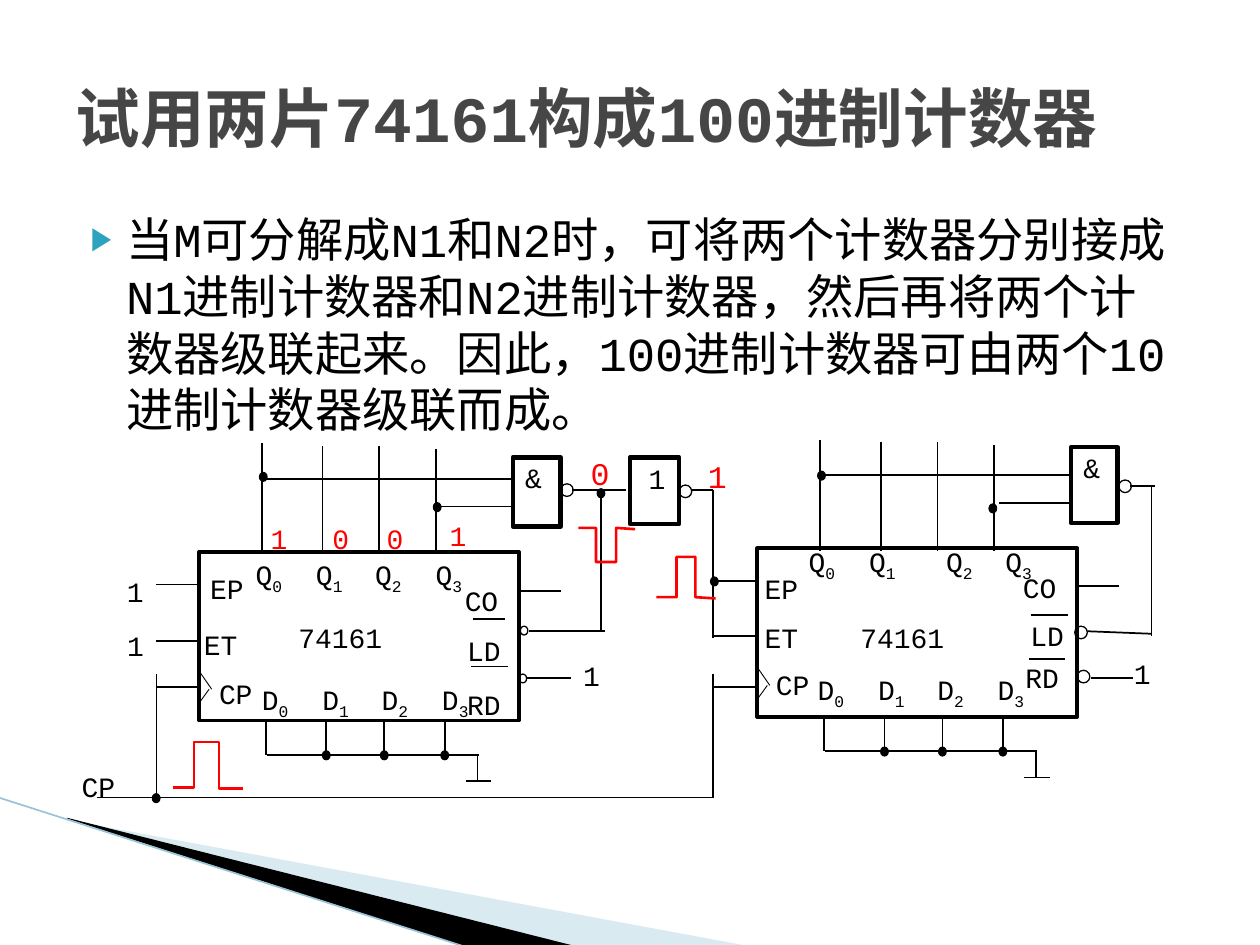
from lxml.etree import SubElement
from pptx import Presentation
from pptx.dml.color import RGBColor
from pptx.enum.shapes import MSO_CONNECTOR, MSO_SHAPE
from pptx.enum.text import MSO_ANCHOR, MSO_AUTO_SIZE, PP_ALIGN
from pptx.oxml.ns import qn
from pptx.util import Pt

PX = 9144  # EMU; 100 px to the inch
FONT = "Courier New"
BLACK, RED = "000000", "FF0000"
PINS_X = {"Q": (50, 98, 143, 188), "D": (53, 101, 147, 195)}

LEFT_COUNTER = {
    "labels": [("74161", 69, 45, 93, 45), ("EP", -1, 6, 62, 46), ("ET", -6, 50, 66, 47),
               ("CP", 6, 88, 63, 48), ("CO", 201, 11, 65, 55), ("LD", 203, 51, 84, 54),
               ("RD", 203, 91, 71, 60)],
    "pin_rows": [("Q", (35, -4, 194, 48), (48, 95, 143)), ("D", (40, 93, 214, 51), (48, 95, 143))],
    "bars": [(217, 53, 243, 53), (216, 91, 245, 91)],
    "bubbles": [(255, 59, 6, 7), (254, 97, 6, 7)],
    "input_ys": (26, 71, 107),
    "output_wires": [(254, 31, 287, 31), (262, 63, 322, 63), (260, 100, 295, 100)],
    "gate": (249, -75, 38, 55),
    "gate_dots": [(48, -63), (186, -39)],
}
RIGHT_COUNTER = {
    "labels": [("74161", 72, 48, 93, 45), ("EP", -4, 9, 62, 46), ("ET", -4, 47, 66, 47),
               ("CP", 5, 83, 56, 50), ("CO", 201, 8, 65, 47), ("LD", 207, 46, 61, 46),
               ("RD", 203, 80, 61, 45)],
    "pin_rows": [("Q", (31, -8, 209, 40), (48, 109, 156)), ("D", (38, 91, 189, 46), (48, 95, 143))],
    "bars": [(217, 53, 247, 53), (216, 88, 244, 88)],
    "bubbles": [(252, 62, 10, 10), (254, 97, 10, 10)],
    "input_ys": (26, 70, 110),
    "output_wires": [(254, 30, 287, 30), (262, 66, 313, 68), (265, 103, 298, 103)],
    "gate": (249, -80, 37, 60),
    "gate_dots": [(48, -61), (184, -35)],
}


def color(hex_string):
    return RGBColor.from_string(hex_string)


def format_run(run, size, hex_string, bold=False):
    run.font.name = FONT
    run.font.size = Pt(size)
    run.font.bold = bold
    run.font.color.rgb = color(hex_string)


class Region:
    """Draws on a slide relative to the top left corner of one region."""

    def __init__(self, slide, left, top):
        self.shapes = slide.shapes
        self.left, self.top = left, top

    def place(self, x, y):
        return (self.left + x) * PX, (self.top + y) * PX

    def line(self, x1, y1, x2, y2, width=1, hex_string=BLACK):
        connector = self.shapes.add_connector(
            MSO_CONNECTOR.STRAIGHT, *self.place(x1, y1), *self.place(x2, y2))
        connector.line.width = Pt(width)
        connector.line.color.rgb = color(hex_string)
        SubElement(connector._element.spPr, qn("a:effectLst"))

    def outline(self, kind, x, y, width, height, line_width, fill=None):
        shape = self.shapes.add_shape(kind, *self.place(x, y), width * PX, height * PX)
        shape.shadow.inherit = False
        shape.line.width = Pt(line_width)
        shape.line.color.rgb = color(BLACK)
        if fill:
            shape.fill.solid()
            shape.fill.fore_color.rgb = color(fill)
        else:
            shape.fill.background()

    def box(self, x, y, width, height, line_width=2.5):
        self.outline(MSO_SHAPE.RECTANGLE, x, y, width, height, line_width)

    def bubble(self, x, y, width=10, height=10):
        self.outline(MSO_SHAPE.OVAL, x, y, width, height, 0.75)

    def dot(self, x, y):
        self.outline(MSO_SHAPE.OVAL, x, y, 6, 7, 0.75, BLACK)

    def freeform(self, points, close):
        first, *others = [(self.left + x, self.top + y) for x, y in points]
        builder = self.shapes.build_freeform(*first, scale=PX)
        builder.add_line_segments(others, close=close)
        shape = builder.convert_to_shape()
        shape.shadow.inherit = False
        return shape

    def text_frame(self, x, y, width, height):
        text_box = self.shapes.add_textbox(*self.place(x, y), width * PX, height * PX)
        text_box.text_frame.word_wrap = True
        text_box.text_frame.vertical_anchor = MSO_ANCHOR.MIDDLE
        return text_box.text_frame

    def label(self, text, x, y, width, height, hex_string=BLACK, size=16):
        paragraph = self.text_frame(x, y, width, height).paragraphs[0]
        paragraph.text = text
        format_run(paragraph.runs[0], size, hex_string)

    def pin_row(self, letter, box, tabs):
        """Write four subscripted pin names, set apart by tab stops."""
        paragraph = self.text_frame(*box).paragraphs[0]
        tab_list = SubElement(paragraph._p.get_or_add_pPr(), qn("a:tabLst"))
        for tab in tabs:
            SubElement(tab_list, qn("a:tab"), pos=str(tab * PX), algn="l")
        for index in range(4):
            for text in ("\t" + letter if index else letter, str(index)):
                run = paragraph.add_run()
                run.text = text
                format_run(run, 16, BLACK)
            run.font._element.set("baseline", "-25000")

    def pulse(self, points):
        shape = self.freeform(points, close=False)
        shape.fill.background()
        shape.line.width = Pt(1.5)
        shape.line.color.rgb = color(RED)


def add_background(slide):
    region = Region(slide, 0, 0)
    pale = region.freeform([(55, 651), (595, 751), (456, 751), (55, 650)], close=True)
    dark = region.freeform([(53, 649), (457, 751), (372, 752), (54, 650)], close=True)
    for wedge, fill in ((pale, "A0CBDC"), (dark, BLACK)):
        wedge.fill.solid()
        wedge.fill.fore_color.rgb = color(fill)
        wedge.line.fill.background()
    pale_color = pale._element.spPr.find(".//" + qn("a:srgbClr"))
    SubElement(pale_color, qn("a:alpha"), val="40000")
    region.line(-1, 633, 371, 752, 0.95, "97C5D8")


def fill_placeholder(placeholder, box, text, size, hex_string, bold=False):
    placeholder.left, placeholder.top, placeholder.width, placeholder.height = (
        length * PX for length in box)
    text_frame = placeholder.text_frame
    text_frame.text = text
    text_frame.auto_size = MSO_AUTO_SIZE.NONE
    paragraph = text_frame.paragraphs[0]
    paragraph.alignment = PP_ALIGN.LEFT
    paragraph.space_before = Pt(0)
    format_run(paragraph.runs[0], size, hex_string, bold)
    return paragraph


def add_bullet(paragraph):
    properties = paragraph._p.get_or_add_pPr()
    properties.set("marL", str(40 * PX))
    properties.set("indent", str(-28 * PX))
    bullet_color = SubElement(properties, qn("a:buClr"))
    SubElement(bullet_color, qn("a:srgbClr"), val="2DA2BF")
    SubElement(properties, qn("a:buSzPct"), val="68000")
    SubElement(properties, qn("a:buChar"), char="▶")


def add_counter(slide, left, top, parts):
    """Draw one 74161 with its inputs, grounded data pins and NAND gate."""
    region = Region(slide, left, top)
    region.box(0, 0, 254, 134, 2)
    for row in parts["pin_rows"]:
        region.pin_row(*row)
    for label in parts["labels"]:
        region.label(*label)
    region.line(1, 96, 10, 109, 0.5)
    region.line(8, 109, 0, 120, 0.5)
    for wire in parts["bars"] + parts["output_wires"]:
        region.line(*wire)
    for bubble in parts["bubbles"]:
        region.bubble(*bubble)
    for y in parts["input_ys"]:
        region.line(-34, y, 0, y)
    for x, start in zip(PINS_X["Q"], (-86, -84, -84, -82)):
        region.line(x, start, x, 2)
    for x in PINS_X["D"]:
        region.line(x, 134, x, 161)
    for x in PINS_X["D"][1:]:
        region.dot(x - 3, 158)
    region.line(54, 161, 222, 161)
    region.line(221, 161, 221, 182)
    region.line(212, 182, 232, 182)

    region.box(*parts["gate"])
    region.label("&", 249, parts["gate"][1] - 5, 38, 42)
    region.bubble(287, -54)
    region.line(52, -58, 250, -58)
    region.line(192, -36, 250, -36)
    for dot in parts["gate_dots"]:
        region.dot(*dot)


def add_cascade(slide, left, top):
    """Draw the inverter, the wires joining both counters, and the signals."""
    region = Region(slide, left, top)
    region.box(445, 11, 39, 53)
    region.label("1", 450, 8, 36, 39)
    region.bubble(484, 33)
    region.line(399, 37, 442, 37)
    region.line(422, 43, 422, 149)
    region.line(842, 34, 862, 34)
    region.line(859, 34, 859, 153)
    for wire in ((22, 281, 511, 281), (69, 183, 69, 281), (511, 183, 511, 281),
                 (511, 37, 511, 154), (494, 37, 511, 37)):
        region.line(*wire, 0.75)
    for dot in ((419, 36), (66, 278), (509, 106)):
        region.dot(*dot)
    for label in (("1", 36, 91, 43, 52), ("1", 36, 134, 41, 52), ("CP", 0, 246, 63, 52),
                  ("1", 398, 164, 37, 40), ("1", 835, 161, 37, 42)):
        region.label(*label)
    for digit, x, y in (("1", 150, 53), ("0", 199, 53), ("0", 242, 53), ("1", 292, 50)):
        region.label(digit, x, y, 41, 45, RED)
    for digit, x, y in (("0", 404, 3), ("1", 497, 6)):
        region.label(digit, x, y, 36, 40, RED, 18)
    region.pulse([(404, 67), (418, 67), (418, 94), (434, 94), (434, 67), (449, 68)])
    region.pulse([(82, 273), (99, 273), (99, 237), (119, 237), (119, 274), (138, 274)])
    region.pulse([(466, 122), (482, 122), (482, 90), (497, 90), (497, 122), (513, 123)])


def main():
    presentation = Presentation()
    presentation.slide_width, presentation.slide_height = 1000 * PX, 750 * PX
    slide = presentation.slides.add_slide(presentation.slide_layouts[1])
    add_background(slide)
    fill_placeholder(slide.shapes.title, (50, 30, 900, 125),
                     "试用两片74161构成100进制计数器", 36.9, "464646", bold=True)
    body = fill_placeholder(
        slide.placeholders[1], (50, 162, 900, 189),
        "当M可分解成N1和N2时，可将两个计数器分别接成N1进制计数器和N2进制计数器，"
        "然后再将两个计数器级联起来。因此，100进制计数器可由两个10进制计数器级联而成。", 27, BLACK)
    add_bullet(body)
    add_counter(slide, 158, 438, LEFT_COUNTER)
    add_counter(slide, 601, 435, RIGHT_COUNTER)
    add_cascade(slide, 55, 352)
    presentation.save("out.pptx")


if __name__ == "__main__":
    main()
